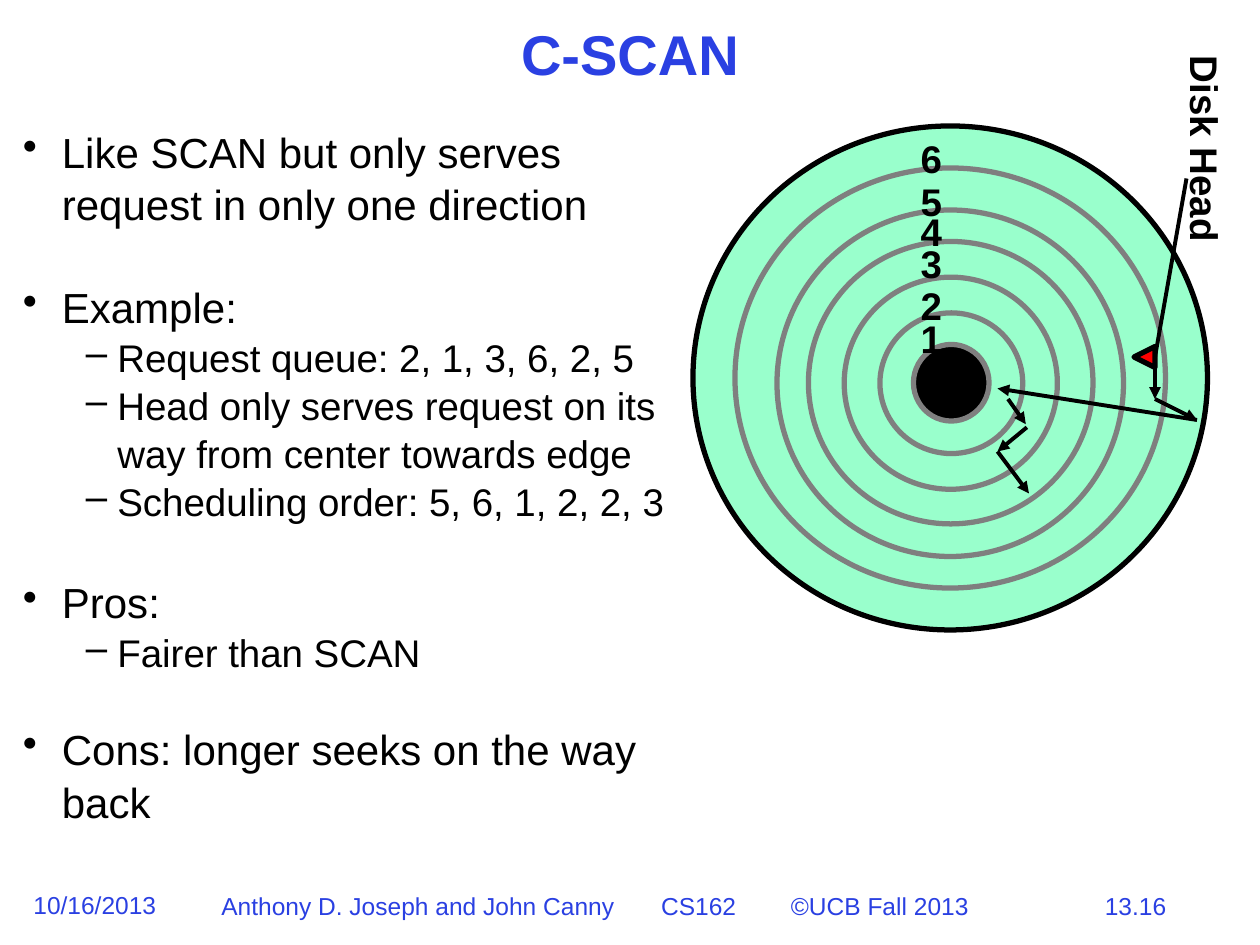
from lxml.etree import SubElement
from pptx import Presentation
from pptx.dml.color import RGBColor
from pptx.enum.shapes import MSO_CONNECTOR, MSO_SHAPE
from pptx.enum.text import MSO_ANCHOR, PP_ALIGN
from pptx.oxml.ns import qn
from pptx.util import Inches, Pt

BLUE = RGBColor(0x2A, 0x40, 0xE2)
BLACK = RGBColor(0x00, 0x00, 0x00)
GRAY = RGBColor(0x7F, 0x7F, 0x7F)
MINT = RGBColor(0x99, 0xFF, 0xCC)
RED = RGBColor(0xFF, 0x00, 0x00)

UNIT = Inches(10) // 120
LINE_SPACING = 1.04
LEVELS = [("•", 24, 0.31, 0.31), ("–", 22, 0.75, 0.25)]
POINTS = [
    (0, 0, "Like SCAN but only serves request in only one direction"),
    (0, 29, "Example:"),
    (1, 0, "Request queue: 2, 1, 3, 6, 2, 5"),
    (1, 0, "Head only serves request on its way from center towards edge"),
    (1, 0, "Scheduling order: 5, 6, 1, 2, 2, 3"),
    (0, 29, "Pros:"),
    (1, 0, "Fairer than SCAN"),
    (0, 26.5, "Cons: longer seeks on the way back"),
]
TRACKS = [
    (66, 12, 49, 48, MINT, BLACK),
    (70, 16, 41, 40, MINT, GRAY),
    (74, 20, 33, 33, MINT, GRAY),
    (77, 23, 27.1, 26.9, MINT, GRAY),
    (80.4, 26.4, 20.3, 20.2, MINT, GRAY),
    (83.8, 29.8, 13.6, 13.4, MINT, GRAY),
    (87, 32.8, 7.2, 7.3, BLACK, GRAY),
]
LABEL_ROWS = {"6": 12, "5": 16.1, "4": 19, "3": 22, "2": 26, "1": 29.2}
SEEKS = [
    (110, 35, 110, 38),
    (110, 38, 114, 40),
    (114, 40, 95, 37),
    (96, 38, 97.7, 40.4),
    (97.8, 40.7, 95, 43),
    (95, 43, 98, 47),
]


def grid(*cells):
    """Turn grid columns and rows into slide lengths."""
    return [round(cell * UNIT) for cell in cells]


def add_box(page, *cells):
    """Add an empty wrapping text box."""
    box = page.shapes.add_textbox(*grid(*cells))
    box.text_frame.word_wrap = True
    box.text_frame.margin_top = Inches(0.07)
    return box


def style(para, size, color, bold=False):
    """Set the font of a whole paragraph."""
    para.font.name = "Arial"
    para.font.size = Pt(size)
    para.font.bold = bold
    para.font.color.rgb = color


def add_text(page, cells, text, size, color, bold=False, align=PP_ALIGN.LEFT, tabs=()):
    """Add a one-paragraph text box, with tab stops in inches."""
    box = add_box(page, *cells)
    para = box.text_frame.paragraphs[0]
    para.text = text
    para.alignment = align
    if tabs:
        stops = SubElement(para._p.get_or_add_pPr(), qn("a:tabLst"))
        for stop in tabs:
            SubElement(stops, qn("a:tab"), pos=str(Inches(stop)), algn="l")
    style(para, size, color, bold)
    return box


def add_points(page):
    """Add the two-level bulleted list."""
    frame = add_box(page, 1, 11, 66, 67).text_frame
    for index, (level, gap, text) in enumerate(POINTS):
        para = frame.add_paragraph() if index else frame.paragraphs[0]
        mark, size, margin, hang = LEVELS[level]
        para.text = text
        para.level = level
        props = para._p.get_or_add_pPr()
        props.set("marL", str(Inches(margin)))
        props.set("indent", str(-Inches(hang)))
        bullet_color = SubElement(props, qn("a:buClr"))
        SubElement(bullet_color, qn("a:srgbClr"), val=str(BLACK))
        SubElement(props, qn("a:buChar"), char=mark)
        para.line_spacing = LINE_SPACING
        para.space_before = Pt(gap)
        style(para, size, BLACK)


def add_outlined(page, kind, cells, fill, outline):
    """Add a filled preset shape with a 3 point outline."""
    shape = page.shapes.add_shape(kind, *grid(*cells))
    shape.shadow.inherit = False
    shape.fill.solid()
    shape.fill.fore_color.rgb = fill
    shape.line.color.rgb = outline
    shape.line.width = Pt(3)
    return shape


def add_line(page, ends, arrow=True):
    """Add a straight line, optionally with an arrowhead at its end."""
    line = page.shapes.add_connector(MSO_CONNECTOR.STRAIGHT, *grid(*ends))
    line.line.color.rgb = BLACK
    line.line.width = Pt(2.25)
    if arrow:
        SubElement(line.line._get_or_add_ln(), qn("a:tailEnd"), type="triangle")
    SubElement(line._element.spPr, qn("a:effectLst"))


def add_disk(page):
    """Draw the disk tracks, their numbers, the head and its seeks."""
    for *cells, fill, outline in TRACKS:
        add_outlined(page, MSO_SHAPE.OVAL, cells, fill, outline)
    for number, row in LABEL_ROWS.items():
        add_text(page, (86.5, row, 10.4, 5.5), number, 22, BLACK, True)
    caption = add_text(page, (102.1, 14.4, 26, 5.5), "Disk Head", 22, BLACK, True)
    caption.rotation = 90
    head = add_outlined(page, MSO_SHAPE.ISOSCELES_TRIANGLE, (108, 33, 2, 2), RED, BLACK)
    head.rotation = 270
    add_line(page, (113, 17, 110, 34), arrow=False)
    for ends in SEEKS:
        add_line(page, ends)


def add_footer(page):
    """Add the date, course line and page number."""
    add_text(page, (2, 83.9, 16, 4), "10/16/2013", 14, BLUE)
    add_text(page, (19.9, 84, 74, 4),
             "Anthony D. Joseph and John Canny\tCS162\t©UCB Fall 2013",
             14, BLUE, tabs=(3.49, 4.52))
    add_text(page, (100, 84, 16.3, 4), "13.16", 14, BLUE, align=PP_ALIGN.CENTER)


def main():
    """Build and save the slide."""
    deck = Presentation()
    deck.slide_width, deck.slide_height = grid(120, 90)
    page = deck.slides.add_slide(deck.slide_layouts[6])
    add_footer(page)
    title = add_text(page, (13, 2, 94, 7), "C-SCAN", 32, BLUE, True, PP_ALIGN.CENTER)
    title.text_frame.margin_top = Inches(0.05)
    title.text_frame.vertical_anchor = MSO_ANCHOR.MIDDLE
    title.text_frame.paragraphs[0].line_spacing = 0.9
    add_points(page)
    add_disk(page)
    deck.save("out.pptx")


if __name__ == "__main__":
    main()
